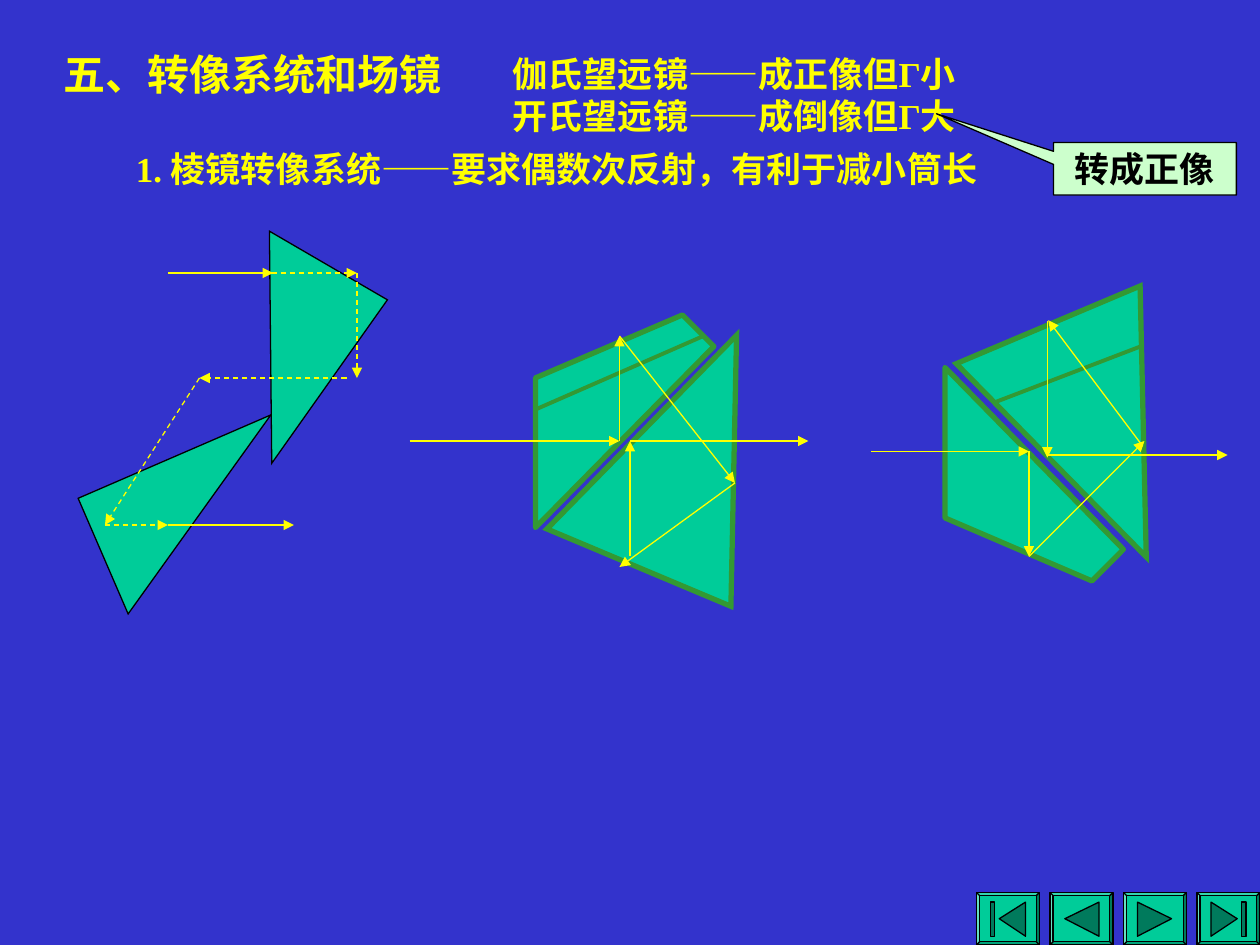
import pptx
import pptx.util
import pptx.dml.color
import pptx.enum.dml
import pptx.enum.shapes
import pptx.enum.text
import pptx.oxml
import pptx.oxml.ns

Pt = pptx.util.Pt
Shape = pptx.enum.shapes.MSO_SHAPE
color = pptx.dml.color.RGBColor.from_string
theme = {
    "background": "3333CC", "glass": "00CC99", "edge": "339933", "ray": "FFFF00",
    "text": "FFFF00", "ink": "000000", "callout": "CCFFCC", "icon": "007A5C",
    "font": "Times New Roman", "title": 24, "body": 20,
    "thin": 0.75, "seam": 2.25, "thick": 3,
}

deck = pptx.Presentation()
deck.slide_width, deck.slide_height = Pt(720), Pt(540)
page = deck.slides.add_slide(deck.slide_layouts[6])
page.background.fill.solid()
page.background.fill.fore_color.rgb = color(theme["background"])


def paint(shape, fill, line, width):
    shape.shadow.inherit = False
    shape.fill.solid()
    shape.fill.fore_color.rgb = color(theme[fill])
    shape.line.color.rgb = color(theme[line])
    shape.line.width = Pt(width)


def write(shape, text, size, ink, wrap):
    frame = shape.text_frame
    frame.text = text
    frame.word_wrap = wrap
    frame.vertical_anchor = pptx.enum.text.MSO_ANCHOR.MIDDLE
    for para in frame.paragraphs:
        for span in para.runs:
            span.font.name = theme["font"]
            span.font.size = Pt(theme[size])
            span.font.bold = True
            span.font.color.rgb = color(theme[ink])


for place, text, size, wrap in [
    ((29, 24, 258, 36), "五、转像系统和场镜", "title", True),
    ((286, 26.5, 277, 55.5), "伽氏望远镜——成正像但Γ小\n开氏望远镜——成倒像但Γ大", "body", False),
    ((70.5, 80.5, 517, 31.5), "1. 棱镜转像系统——要求偶数次反射，有利于减小筒长", "body", True),
]:
    box = page.shapes.add_textbox(*map(Pt, place))
    write(box, text, size, "text", wrap)

callout = page.shapes.add_shape(
    Shape.RECTANGULAR_CALLOUT, Pt(602), Pt(81.5), Pt(104.5), Pt(30))
callout.adjustments[0], callout.adjustments[1] = -1.14, -1.05
paint(callout, "callout", "ink", theme["thin"])
write(callout, "转成正像", "body", "ink", False)
callout.text_frame.paragraphs[0].alignment = pptx.enum.text.PP_ALIGN.CENTER

polygons = [
    ([(306, 301.5), (306, 216), (390, 180), (408, 198)], "glass", "edge", theme["thick"]),
    ([(540, 210), (540, 296), (624, 332), (642, 314)], "glass", "edge", theme["thick"]),
]

for place, turn, flipped, apex, edge, width in [
    ((570, 180, 114, 144), 337.1, True, 0.5, "edge", theme["thick"]),
    ((78, 234, 72, 120), 66.6, False, 0, "ink", theme["thin"]),
    ((120, 144, 78, 114), 30.2, True, 0.87, "ink", theme["thin"]),
    ((336, 186, 114, 144), 22.8, False, 0.5, "edge", theme["thick"]),
]:
    prism = page.shapes.add_shape(Shape.ISOSCELES_TRIANGLE, *map(Pt, place))
    prism.adjustments[0] = apex
    prism.rotation = turn
    if flipped:
        prism.element.spPr.xfrm.set("flipV", "1")
    paint(prism, "glass", edge, width)
    join = pptx.oxml.parse_xml(
        f'<a:miter {pptx.oxml.ns.nsdecls("a")} lim="800000"/>')
    prism.line._get_or_add_ln().append(join)

button_width, button_height, button_step = 36, 30, 42
for index, (tip, has_bar, forward) in enumerate([
    (13, True, False), (8.5, False, False), (8.5, False, True), (13, True, True),
]):
    left, top = 558 + index * button_step, 510
    button = page.shapes.add_shape(
        Shape.BEVEL, Pt(left), Pt(top), Pt(button_width), Pt(button_height))
    button.adjustments[0] = 0.06
    paint(button, "glass", "ink", theme["thin"])
    icons = [[(tip, 15), (28, 5.5), (28, 25)]]
    if has_bar:
        icons.append([(8, 5.5), (10.5, 5.5), (10.5, 25), (8, 25)])
    for icon in icons:
        corners = [(left + (button_width - x if forward else x), top + y) for x, y in icon]
        polygons.append((corners, "icon", "ink", theme["thin"]))

for corners, fill, edge, width in polygons:
    points = [(Pt(x), Pt(y)) for x, y in corners]
    builder = page.shapes.build_freeform(*points[0])
    builder.add_line_segments(points[1:], close=True)
    paint(builder.convert_to_shape(), fill, edge, width)

seams = [(569.5, 229.5, 653, 197.5), (306, 234, 402, 192)]
solid_rays = [
    (96, 156, 156, 156), (96, 300, 168, 300),
    (234, 252, 354, 252), (354, 252, 354, 192), (354, 192, 420, 276),
    (420, 276, 354, 324), (360, 318, 360, 252), (360, 252, 462, 252),
    (498, 258, 588, 258), (588, 258, 588, 318), (588, 318, 654, 252),
    (653, 255, 599, 183), (598.5, 183.5, 598.5, 261.5), (599, 260, 701.5, 260),
]
dashed_rays = [
    (150, 156, 204, 156), (204, 156, 204, 216), (198, 216, 114, 216),
    (114, 216, 60, 300), (60, 300, 96, 300),
]
for lines, ink, width, dashed, arrow in [
    (seams, "edge", theme["seam"], False, False),
    (solid_rays, "ray", theme["thin"], False, True),
    (dashed_rays, "ray", theme["thin"], True, True),
]:
    for ends in lines:
        ray = page.shapes.add_connector(
            pptx.enum.shapes.MSO_CONNECTOR.STRAIGHT, *map(Pt, ends))
        ray.line.color.rgb = color(theme[ink])
        ray.line.width = Pt(width)
        if dashed:
            ray.line.dash_style = pptx.enum.dml.MSO_LINE.DASH
        if arrow:
            head = pptx.oxml.parse_xml(
                f'<a:tailEnd {pptx.oxml.ns.nsdecls("a")} type="triangle"/>')
            ray.line._get_or_add_ln().append(head)
        ray.element.spPr.append(
            pptx.oxml.parse_xml(f'<a:effectLst {pptx.oxml.ns.nsdecls("a")}/>'))

deck.save("out.pptx")
